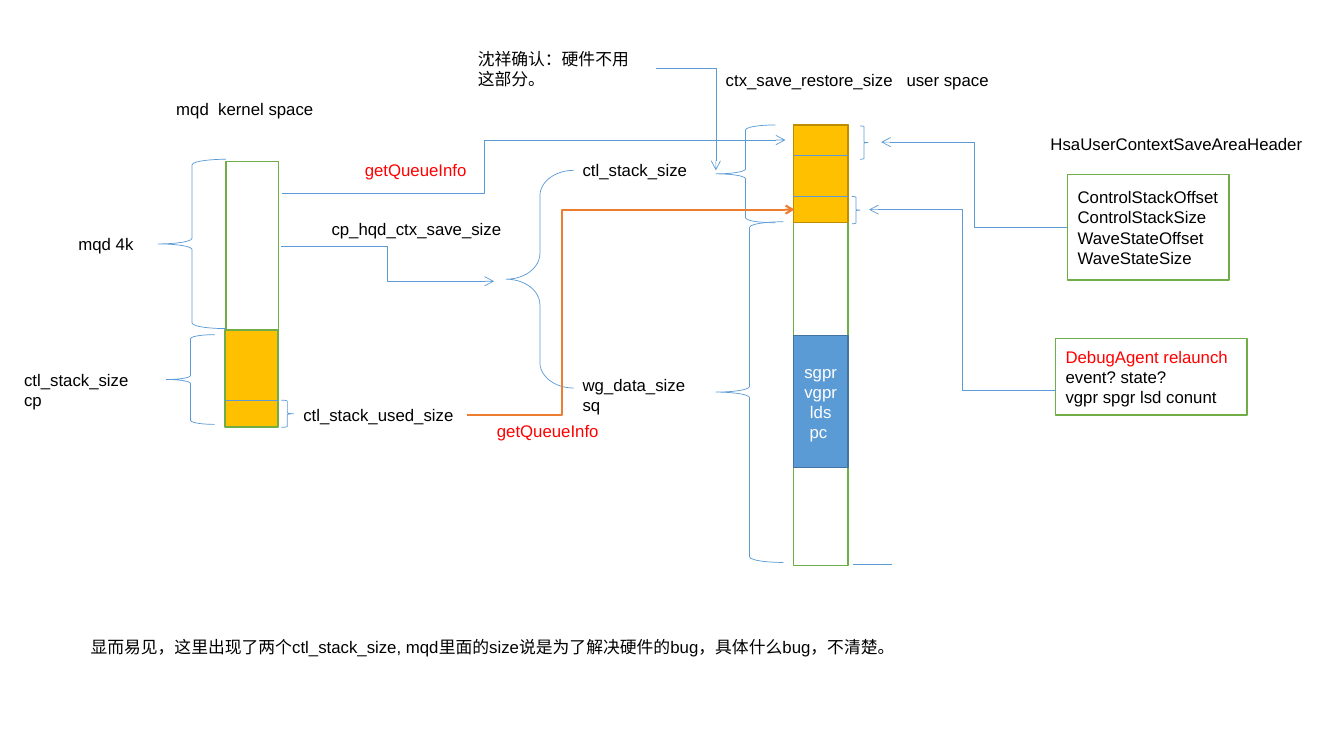
from lxml import etree
from pptx import Presentation
from pptx.dml.color import RGBColor
from pptx.enum import shapes, text
from pptx.oxml.ns import qn
from pptx.util import Inches, Pt

BLACK = RGBColor(0x00, 0x00, 0x00)
WHITE = RGBColor(0xFF, 0xFF, 0xFF)
RED = RGBColor(0xFF, 0x00, 0x00)
GREEN = RGBColor(0x70, 0xAD, 0x47)
GOLD = RGBColor(0xFF, 0xC0, 0x00)
DARK_GOLD = RGBColor(0xBD, 0x8E, 0x00)
BLUE = RGBColor(0x5B, 0x9B, 0xD5)
DARK_BLUE = RGBColor(0x43, 0x73, 0x9E)
ORANGE = RGBColor(0xED, 0x7D, 0x31)

LEFT = text.PP_ALIGN.LEFT
CENTER = text.PP_ALIGN.CENTER
LEFT_BRACE = shapes.MSO_SHAPE.LEFT_BRACE
RIGHT_BRACE = shapes.MSO_SHAPE.RIGHT_BRACE

prs = Presentation()
prs.slide_width, prs.slide_height = Inches(13.33), Inches(7.5)
s = prs.slides.add_slide(prs.slide_layouts[6])


def write(tf, lines, color, align=LEFT):
    """Fill a text frame with one paragraph per line; \\v breaks a line."""
    tf.word_wrap = True
    for i, line in enumerate(lines):
        p = tf.paragraphs[0] if i == 0 else tf.add_paragraph()
        p.text = line
        p.alignment = align
        for r in p.runs:
            r.font.name, r.font.size = "Arial", Pt(12)
            r.font.color.rgb = color


def connect(kind, start, end, color=BLUE, width=0.5):
    c = s.shapes.add_connector(kind, *map(Inches, start + end))
    c.line.color.rgb, c.line.width = color, Pt(width)
    etree.SubElement(c._element.spPr, qn("a:effectLst"))
    return c


# Memory blocks and boxes: position, fill, line, line width, text, text colour, alignment
boxes = [
    ((2.24, 1.6, 0.52, 1.69), WHITE, GREEN, 1, [], BLACK, LEFT),
    ((2.23, 3.27, 0.53, 0.97), GOLD, GREEN, 1.5, [], BLACK, LEFT),
    ((7.87, 1.24, 0.54, 4.37), WHITE, GREEN, 1, [], BLACK, LEFT),
    ((7.87, 1.24, 0.54, 0.97), GOLD, DARK_GOLD, 1, [], BLACK, LEFT),
    ((7.87, 3.33, 0.54, 1.31), BLUE, DARK_BLUE, 1,
     ["sgpr", "vgpr", "lds", "pc "], WHITE, CENTER),
    ((10.59, 1.73, 1.6, 1.05), WHITE, GREEN, 1,
     ["ControlStackOffset", "ControlStackSize", "WaveStateOffset", "WaveStateSize"], BLACK, LEFT),
    ((10.47, 3.36, 1.9, 0.76), WHITE, GREEN, 1,
     ["DebugAgent relaunch\vevent? state?\vvgpr spgr lsd conunt"], BLACK, LEFT),
]
for at, fill, line, width, lines, color, align in boxes:
    sp = s.shapes.add_shape(shapes.MSO_SHAPE.RECTANGLE, *map(Inches, at))
    sp.shadow.inherit = False
    sp.fill.solid()
    sp.fill.fore_color.rgb = fill
    sp.line.color.rgb, sp.line.width = line, Pt(width)
    write(sp.text_frame, lines, color, align)
debug_agent = sp
debug_agent.text_frame.paragraphs[0].runs[0].font.color.rgb = RED

braces = [
    (LEFT_BRACE, (1.57, 1.58, 0.67, 1.68), 0.083),
    (LEFT_BRACE, (1.65, 3.32, 0.48, 0.89), 0.083),
    (LEFT_BRACE, (5.02, 1.69, 0.67, 2.16), 0.379),
    (LEFT_BRACE, (7.1, 1.24, 0.59, 0.97), 0.083),
    (LEFT_BRACE, (7.1, 2.2, 0.67, 3.38), 0.083),
    (RIGHT_BRACE, (2.79, 3.97, 0.12, 0.27), 0.083),
    (RIGHT_BRACE, (8.53, 1.25, 0.08, 0.33), 0.083),
    (RIGHT_BRACE, (8.45, 1.95, 0.08, 0.27), 0.083),
]
for kind, at, curl in braces:
    sp = s.shapes.add_shape(kind, *map(Inches, at))
    sp.shadow.inherit = False
    sp.adjustments[0] = curl
    sp.fill.background()
    sp.line.color.rgb, sp.line.width = BLUE, Pt(0.5)

# Dividers: left, right, height
for x1, x2, y in [(7.88, 8.41, 1.54), (7.87, 8.41, 1.95), (2.23, 2.77, 3.97), (8.46, 8.85, 5.6)]:
    connect(shapes.MSO_CONNECTOR.STRAIGHT, (x1, y), (x2, y))

# Elbow arrows: start, end, place of the bend (None for a single corner), colour, width
arrows = [
    ((2.79, 2.44), (4.9, 2.79), 0.5, BLUE, 0.5),
    ((2.8, 1.92), (7.79, 1.39), 0.401, BLUE, 0.5),
    ((4.63, 4.12), (7.88, 2.08), 0.29, ORANGE, 1.5),
    ((10.58, 2.26), (8.74, 1.41), 0.5, BLUE, 0.5),
    ((10.47, 3.87), (8.62, 2.08), 0.5, BLUE, 0.5),
    ((6.51, 0.68), (7.1, 1.69), None, BLUE, 0.5),
]
for start, end, bend, color, width in arrows:
    c = connect(shapes.MSO_CONNECTOR.ELBOW, start, end, color, width)
    etree.SubElement(c.line._get_or_add_ln(), qn("a:tailEnd"), type="arrow")
    geom = c._element.spPr.find(qn("a:prstGeom"))
    if bend is None:
        geom.set("prst", "bentConnector2")
    else:
        etree.SubElement(geom.find(qn("a:avLst")), qn("a:gd"),
                         name="adj1", fmla=f"val {round(bend * 100000)}")

labels = [
    ("mqd  kernel space", (1.65, 0.93, 1.76, 0.3), BLACK),
    ("mqd 4k", (0.68, 2.27, 0.77, 0.3), BLACK),
    ("ctl_stack_size cp", (0.14, 3.62, 1.32, 0.5), BLACK),
    ("ctl_stack_used_size", (2.91, 3.97, 1.74, 0.3), BLACK),
    ("cp_hqd_ctx_save_size", (3.19, 2.12, 1.93, 0.3), BLACK),
    ("getQueueInfo", (3.52, 1.54, 1.27, 0.3), RED),
    ("getQueueInfo", (4.83, 4.12, 1.27, 0.3), RED),
    ("ctl_stack_size", (5.68, 1.54, 1.32, 0.3), BLACK),
    ("wg_data_size sq", (5.68, 3.67, 1.32, 0.5), BLACK),
    ("沈祥确认：硬件不用这部分。", (4.64, 0.43, 1.71, 0.5), BLACK),
    ("ctx_save_restore_size   user space", (7.1, 0.64, 2.94, 0.3), BLACK),
    ("HsaUserContextSaveAreaHeader", (10.32, 1.28, 2.78, 0.3), BLACK),
    ("显而易见，这里出现了两个ctl_stack_size, mqd里面的size说是为了解决硬件的bug，具体什么bug，不清楚。",
     (0.8, 6.27, 9.14, 0.3), BLACK),
]
for label, at, color in labels:
    tf = s.shapes.add_textbox(*map(Inches, at)).text_frame
    tf.auto_size = text.MSO_AUTO_SIZE.SHAPE_TO_FIT_TEXT
    write(tf, [label], color)

prs.save("out.pptx")
